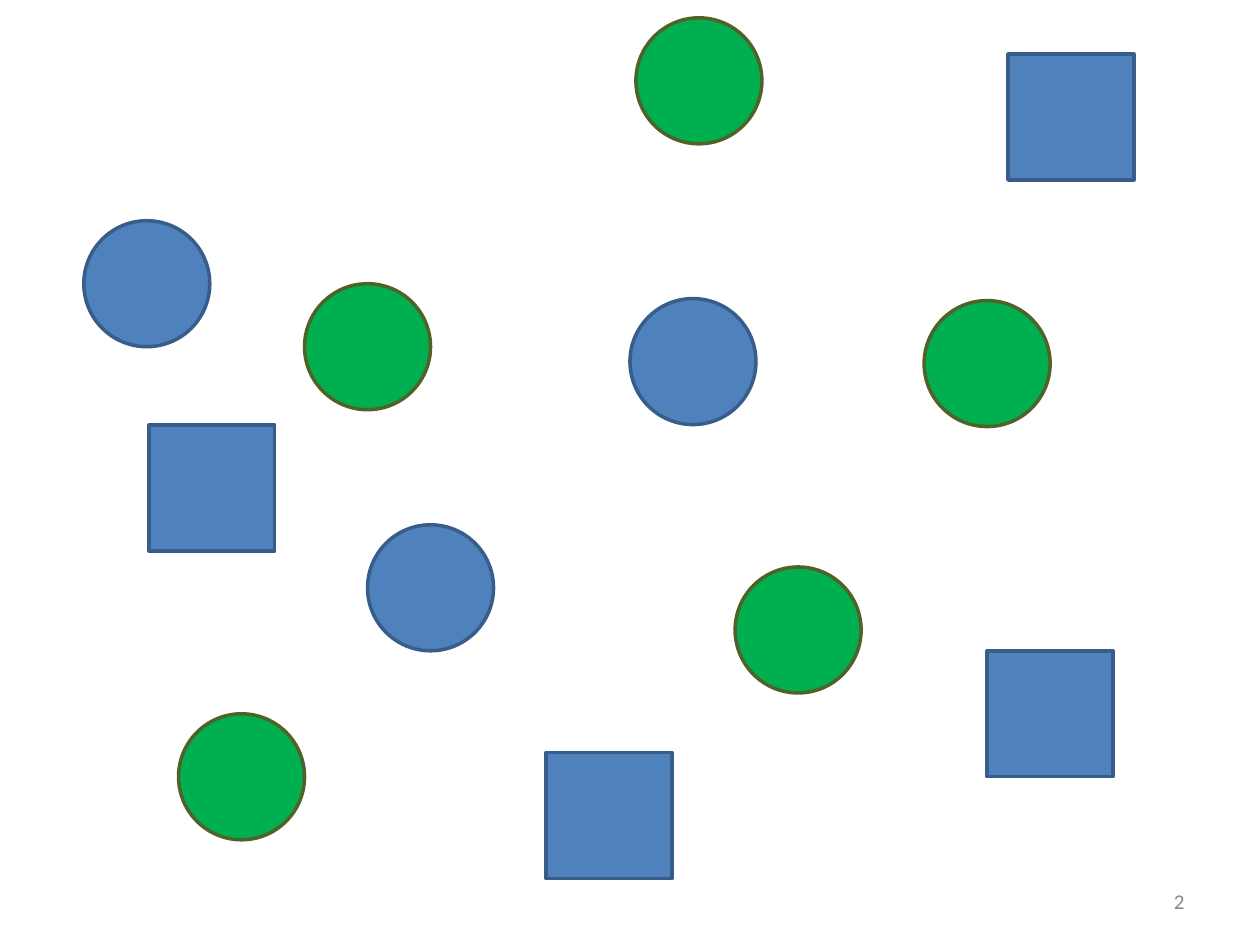
"""Build a slide of scattered blue and green circles and blue squares."""
from pptx import Presentation
from pptx.dml.color import RGBColor
from pptx.enum.shapes import MSO_SHAPE as Shape
from pptx.enum.text import MSO_ANCHOR as Anchor, PP_ALIGN as Align
from pptx.util import Cm, Pt


def color(hex_value):
    return RGBColor.from_string(hex_value)


deck = Presentation()
deck.slide_width, deck.slide_height = Cm(25.4), Cm(19.05)
slide = deck.slides.add_slide(deck.slide_layouts[6])

number_box = slide.shapes.add_textbox(Cm(18.21), Cm(17.65), Cm(5.92), Cm(1.02))
frame = number_box.text_frame
frame.word_wrap = True
frame.vertical_anchor = Anchor.MIDDLE
para = frame.paragraphs[0]
para.alignment = Align.RIGHT
span = para.add_run()
span.text = "2"
span.font.name = "Calibri"
span.font.size = Pt(12)
span.font.color.rgb = color("898989")

side = Cm(2.54)
blue, green = ("4F81BD", "385D8A"), ("00B050", "4F6228")
blue_circles = [(1.69, 4.45), (7.41, 10.58), (12.7, 6.02)]
green_circles = [(14.82, 11.43), (6.14, 5.72), (3.6, 14.39), (18.63, 6.06), (12.82, 0.36)]
blue_squares = [(19.9, 13.12), (3, 8.57), (20.32, 1.09), (11.01, 15.17)]

for kind, (fill, outline), positions in [
    (Shape.OVAL, blue, blue_circles),
    (Shape.OVAL, green, green_circles),
    (Shape.RECTANGLE, blue, blue_squares),
]:
    for left, top in positions:
        figure = slide.shapes.add_shape(kind, Cm(left), Cm(top), side, side)
        figure.shadow.inherit = False
        figure.fill.solid()
        figure.fill.fore_color.rgb = color(fill)
        figure.line.color.rgb = color(outline)
        figure.line.width = Pt(2)

deck.save("out.pptx")
